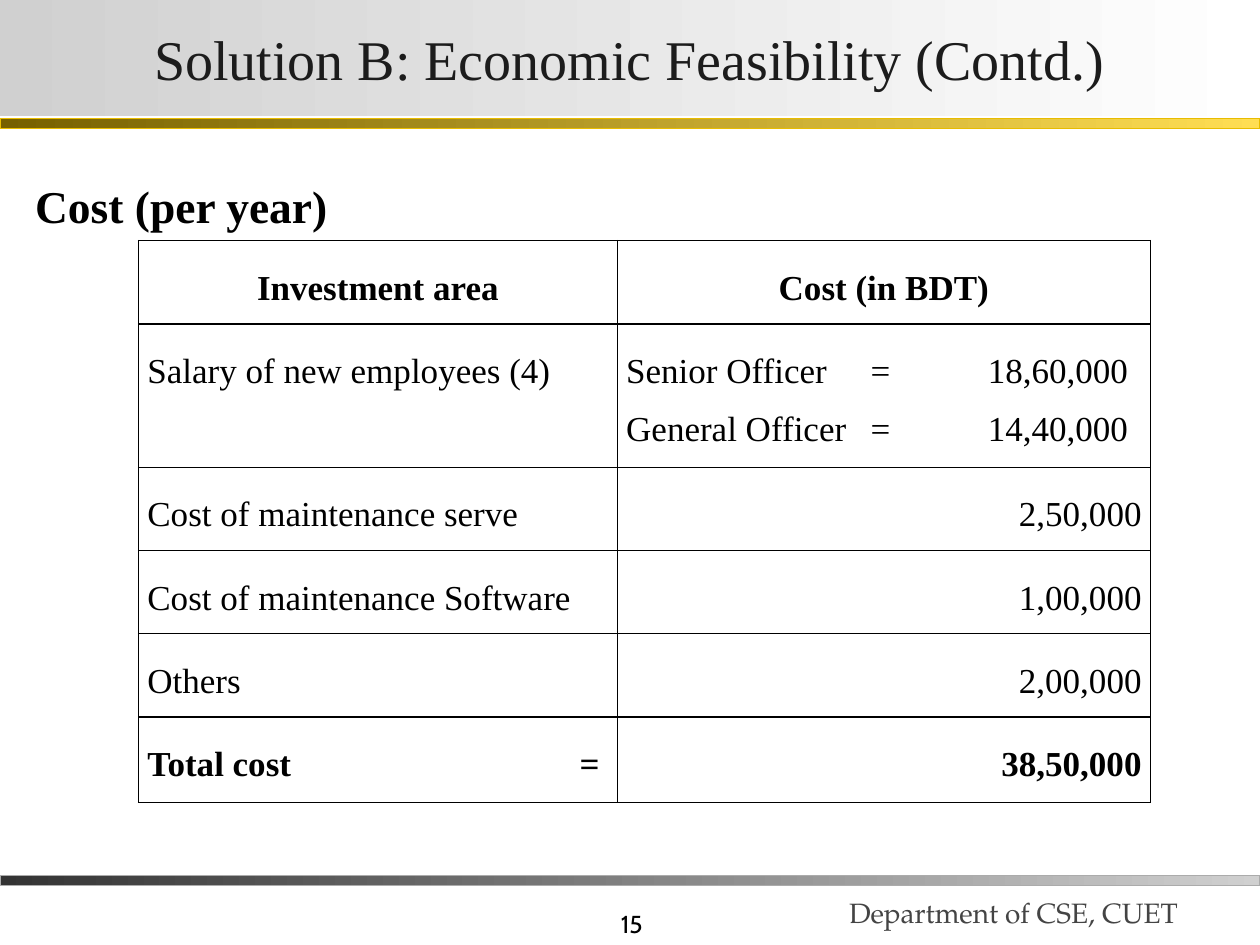
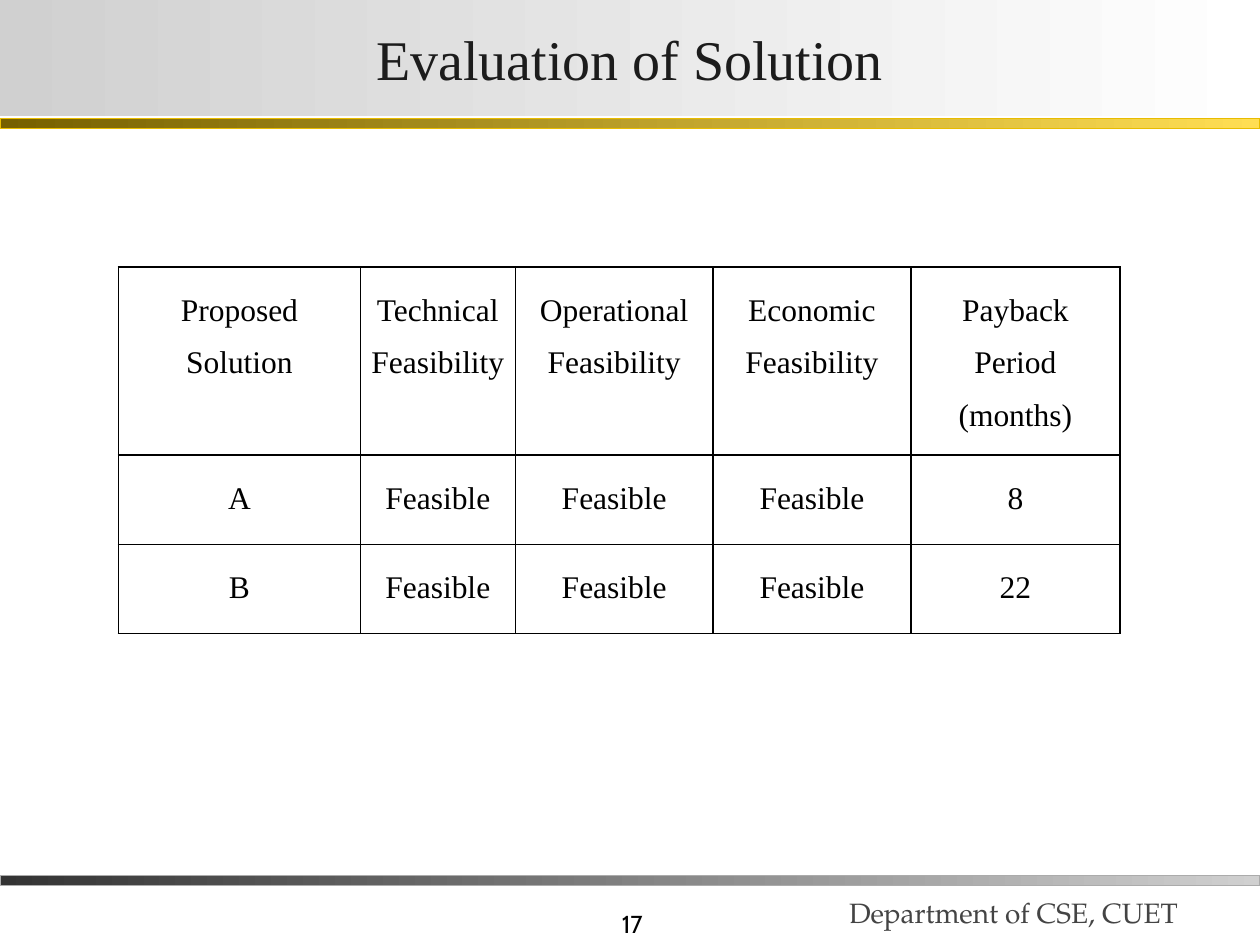
import pptx
import pptx.util
import pptx.dml.color
import pptx.enum.shapes
import pptx.enum.text
import pptx.oxml
import pptx.oxml.ns

Inches, Pt = pptx.util.Inches, pptx.util.Pt
RGBColor = pptx.dml.color.RGBColor
PP_ALIGN = pptx.enum.text.PP_ALIGN
MSO_ANCHOR = pptx.enum.text.MSO_ANCHOR
LEFT, CENTER, RIGHT = PP_ALIGN.LEFT, PP_ALIGN.CENTER, PP_ALIGN.RIGHT

BLACK = RGBColor(0x00, 0x00, 0x00)
WHITE = RGBColor(0xFF, 0xFF, 0xFF)
INK = RGBColor(0x1C, 0x1C, 0x1C)
FOOTER_GREY = RGBColor(0x44, 0x44, 0x44)
DARK_GREY = RGBColor(0x33, 0x33, 0x33)
MID_GREY = RGBColor(0xAB, 0xAB, 0xAB)
LIGHT_GREY = RGBColor(0xD0, 0xD0, 0xD0)
DARK_GOLD = RGBColor(0x76, 0x60, 0x00)
GOLD = RGBColor(0xE8, 0xBC, 0x00)
LIGHT_GOLD = RGBColor(0xFF, 0xDE, 0x53)

BODY_FONT, FOOTER_FONT, NUMBER_FONT = "Times New Roman", "TeX Gyre Pagella", "Cabin"
WIDTH, HEIGHT = 10, 7.5
TITLE_HEIGHT, BAND_HEIGHT = 0.92, 0.08
CELL_INSET = 0.07
FOOTER = "Department of CSE, CUET"

BANDS = [
    (0.94, DARK_GOLD, LIGHT_GOLD, GOLD),
    (6.95, DARK_GREY, LIGHT_GREY, MID_GREY),
]

SLIDES = [
    {
        "title": "Solution B: Economic Feasibility (Contd.)",
        "number": "15",
        "heading": "Cost (per year)",
        "table": {
            "at": (1.1, 1.91),
            "cols": [3.8, 4.23],
            "rows": [0.66, 1.12, 0.66, 0.66, 0.66, 0.68],
            "size": 20,
            "align": [LEFT, RIGHT],
            "bold_rows": (0, 5),
            "tabs": {(1, 1): (1.94, 2.87), (5, 0): (3.43,)},
            "cells": [
                ["Investment area", "Cost (in BDT)"],
                ["Salary of new employees (4)",
                 "Senior Officer\t=\t18,60,000\vGeneral Officer\t=\t14,40,000"],
                ["Cost of maintenance serve", "2,50,000"],
                ["Cost of maintenance Software", "1,00,000"],
                ["Others", "2,00,000"],
                ["Total cost\t=", "38,50,000"],
            ],
        },
    },
    {
        "title": "Evaluation of Solution",
        "number": "17",
        "heading": None,
        "table": {
            "at": (0.94, 2.12),
            "cols": [1.92, 1.23, 1.57, 1.57, 1.66],
            "rows": [1.19, 0.71, 0.71],
            "size": 18,
            "align": [CENTER] * 5,
            "bold_rows": (),
            "tabs": {},
            "cells": [
                ["Proposed Solution", "Technical\nFeasibility", "Operational\nFeasibility",
                 "Economic\nFeasibility", "Payback Period\n(months)"],
                ["A", "Feasible", "Feasible", "Feasible", "8"],
                ["B", "Feasible", "Feasible", "Feasible", "22"],
            ],
        },
    },
]


def write(tf, text, size, font, color, align=LEFT, bold=False, spacing=None):
    tf.text = text
    for p in tf.paragraphs:
        p.alignment = align
        if spacing:
            p.line_spacing = spacing
        for r in p.runs:
            r.font.size, r.font.name, r.font.bold = Pt(size), font, bold
            r.font.color.rgb = color


def paint_gradient(shape, start, end):
    shape.fill.gradient()
    shape.fill.gradient_angle = 0
    for stop, color, position in zip(shape.fill.gradient_stops, (start, end), (0, 1)):
        stop.color.rgb = color
        stop.position = position


def add_band(s, top, start, end, outline):
    band = s.shapes.add_shape(pptx.enum.shapes.MSO_SHAPE.RECTANGLE, 0, Inches(top),
                              Inches(WIDTH), Inches(BAND_HEIGHT))
    band.shadow.inherit = False
    paint_gradient(band, start, end)
    band.line.color.rgb = outline
    band.line.width = Pt(0.75)


def add_text(s, box, text, anchor, *style, **options):
    tf = s.shapes.add_textbox(*map(Inches, box)).text_frame
    tf.word_wrap = True
    tf.vertical_anchor = anchor
    write(tf, text, *style, **options)


def format_title(s, text):
    title = s.shapes.title
    title.left, title.top = 0, 0
    title.width, title.height = Inches(WIDTH), Inches(TITLE_HEIGHT)
    paint_gradient(title, LIGHT_GREY, WHITE)
    tf = title.text_frame
    tf.auto_size = pptx.enum.text.MSO_AUTO_SIZE.NONE
    tf.vertical_anchor = MSO_ANCHOR.MIDDLE
    tf.margin_left = tf.margin_right = Inches(0.02)
    tf.margin_top = tf.margin_bottom = Inches(0.01)
    write(tf, text, 32, BODY_FONT, INK, CENTER)


def add_borders(cell):
    tcPr = cell._tc.get_or_add_tcPr()
    for side in "LRTB":
        tcPr.append(pptx.oxml.parse_xml(
            f'<a:ln{side} {pptx.oxml.ns.nsdecls("a")} w="{Pt(1)}"><a:solidFill>'
            f'<a:srgbClr val="{BLACK}"/></a:solidFill></a:ln{side}>'))


def add_tabs(p, positions):
    stops = "".join(f'<a:tab pos="{Inches(x)}" algn="l"/>' for x in positions)
    p._p.get_or_add_pPr().append(pptx.oxml.parse_xml(
        f'<a:tabLst {pptx.oxml.ns.nsdecls("a")}>{stops}</a:tabLst>'))


def add_grid(s, grid):
    cols, rows = grid["cols"], grid["rows"]
    box = (*grid["at"], sum(cols), sum(rows))
    table = s.shapes.add_table(len(rows), len(cols), *map(Inches, box)).table
    table.first_row = table.horz_banding = False
    for column, width in zip(table.columns, cols):
        column.width = Inches(width)
    for row, height in zip(table.rows, rows):
        row.height = Inches(height)
    for i, texts in enumerate(grid["cells"]):
        for j, text in enumerate(texts):
            cell = table.cell(i, j)
            cell.margin_left = cell.margin_right = Inches(CELL_INSET)
            cell.margin_top = cell.margin_bottom = Inches(CELL_INSET)
            add_borders(cell)
            cell.fill.background()
            tabs = grid["tabs"].get((i, j))
            align = CENTER if i == 0 else LEFT if tabs else grid["align"][j]
            write(cell.text_frame, text, grid["size"], BODY_FONT, BLACK, align,
                  i in grid["bold_rows"], 1.5)
            if tabs:
                add_tabs(cell.text_frame.paragraphs[0], tabs)


def add_slide(prs, content):
    s = prs.slides.add_slide(prs.slide_layouts[5])
    format_title(s, content["title"])
    for band in BANDS:
        add_band(s, *band)
    add_text(s, (3.12, 7, 2.08, 0.5), content["number"], MSO_ANCHOR.BOTTOM,
             14, NUMBER_FONT, BLACK, align=RIGHT)
    add_text(s, (6.64, 6.8, 3.44, 0.62), FOOTER, MSO_ANCHOR.BOTTOM,
             16, FOOTER_FONT, FOOTER_GREY)
    if content["heading"]:
        add_text(s, (0.18, 1.15, 9.45, 5.53), content["heading"], MSO_ANCHOR.TOP,
                 26, BODY_FONT, BLACK, bold=True, spacing=1.5)
    add_grid(s, content["table"])


def main():
    prs = pptx.Presentation()
    prs.slide_width, prs.slide_height = Inches(WIDTH), Inches(HEIGHT)
    for content in SLIDES:
        add_slide(prs, content)
    prs.save("out.pptx")


if __name__ == "__main__":
    main()
